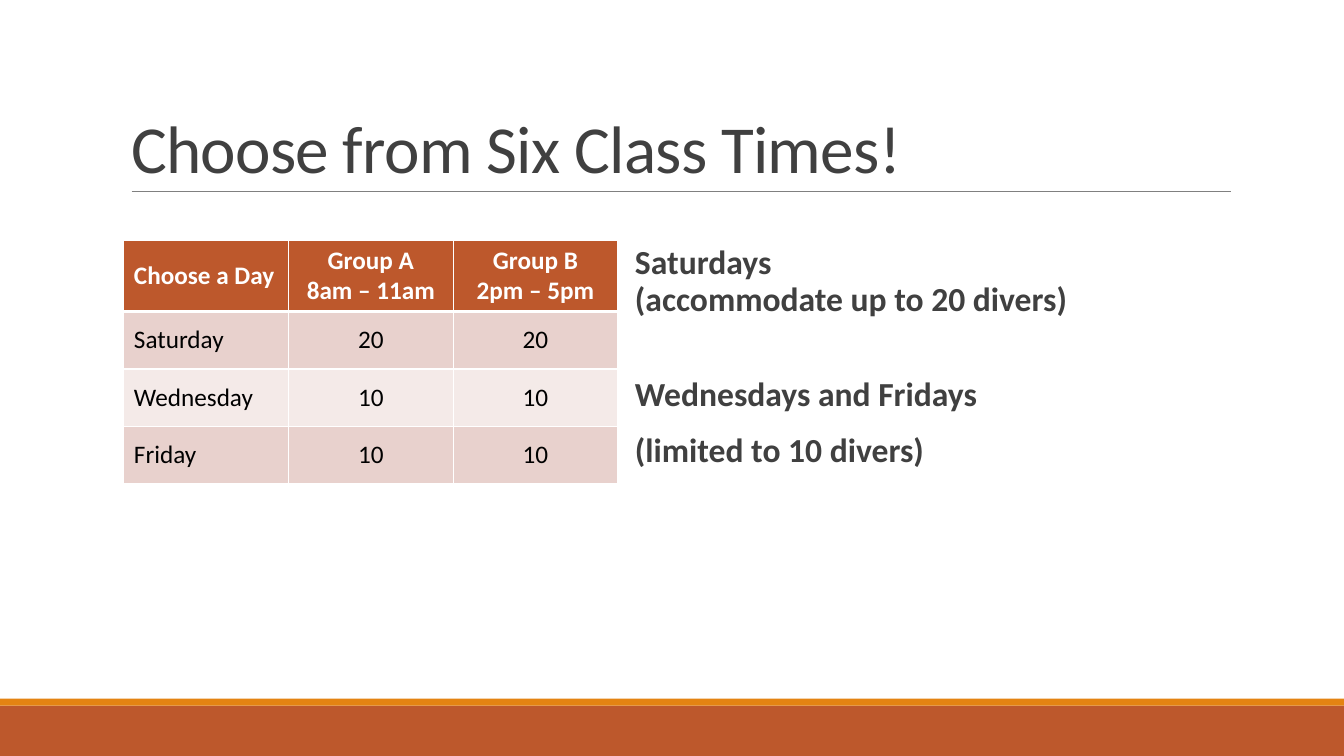
import pptx
import pptx.util
import pptx.dml.color
import pptx.enum.shapes
import pptx.enum.text
import pptx.oxml
import pptx.oxml.ns

Pt = pptx.util.Pt
ALIGN = pptx.enum.text.PP_ALIGN
ANCHOR = pptx.enum.text.MSO_ANCHOR

WIDTH, HEIGHT = 960, 540
RUST, ORANGE, GRAY, DARK = "BD582C", "E48312", "808080", "404040"
WHITE, BLACK = "FFFFFF", "000000"
STRIPES = ["E8D1CD", "F4EAE8"]

SCHEDULE = [
    ["Choose a Day", "Group A\n8am – 11am", "Group B\n2pm – 5pm"],
    ["Saturday", "20", "20"],
    ["Wednesday", "10", "10"],
    ["Friday", "10", "10"],
]
CAPACITY = [
    ("Saturdays\n(accommodate up to 20 divers)", 12),
    ("Wednesdays and Fridays", 40),
    ("(limited to 10 divers)", 12),
]


def rgb(value):
    return pptx.dml.color.RGBColor.from_string(value)


def set_all(obj, values):
    for name, value in values.items():
        setattr(obj, name, value)


def format_paragraph(p, size, color, bold=False, **values):
    set_all(p, values)
    for r in p.runs:
        set_all(r.font, {"name": "Calibri", "size": Pt(size), "bold": bold})
        r.font.color.rgb = rgb(color)


def add_title(slide, text, left, top, width, height):
    sp = slide.shapes.title
    set_all(sp, {"left": Pt(left), "top": Pt(top), "width": Pt(width), "height": Pt(height)})
    tf = sp.text_frame
    tf.text = text
    set_all(tf, {
        "vertical_anchor": ANCHOR.BOTTOM,
        "word_wrap": True,
        "auto_size": pptx.enum.text.MSO_AUTO_SIZE.NONE,
    })
    p = tf.paragraphs[0]
    format_paragraph(p, 48, DARK, alignment=ALIGN.LEFT, line_spacing=0.85)
    p.runs[0].font._element.set("spc", "-50")


def add_band(slide, top, height, color):
    sp = slide.shapes.add_shape(
        pptx.enum.shapes.MSO_SHAPE.RECTANGLE, 0, Pt(top), Pt(WIDTH), Pt(height))
    sp.shadow.inherit = False
    sp.fill.solid()
    sp.fill.fore_color.rgb = rgb(color)
    sp.line.fill.background()


def add_rule(slide, left, right, y):
    line = slide.shapes.add_connector(
        pptx.enum.shapes.MSO_CONNECTOR.STRAIGHT, Pt(left), Pt(y), Pt(right), Pt(y))
    line.line.color.rgb = rgb(GRAY)
    line.line.width = Pt(0.5)
    line._element.spPr.append(pptx.oxml.parse_xml(
        f"<a:effectLst {pptx.oxml.ns.nsdecls('a')}/>"))


def add_borders(cell, widths):
    tcPr = cell._tc.get_or_add_tcPr()
    for side, width in widths.items():
        tcPr.append(pptx.oxml.parse_xml(
            f'<a:ln{side} {pptx.oxml.ns.nsdecls("a")} w="{Pt(width)}">'
            f'<a:solidFill><a:srgbClr val="{WHITE}"/></a:solidFill></a:ln{side}>'))


def format_cell(cell, text, row, col):
    header = row == 0
    cell.text_frame.text = text
    cell.vertical_anchor = ANCHOR.MIDDLE
    for p in cell.text_frame.paragraphs:
        format_paragraph(p, 18, WHITE if header else BLACK, header,
                         alignment=ALIGN.CENTER if col else ALIGN.LEFT)
    add_borders(cell, {"L": 1, "R": 1, "T": 3 if row == 1 else 1, "B": 3 if header else 1})
    cell.fill.solid()
    cell.fill.fore_color.rgb = rgb(RUST if header else STRIPES[(row - 1) % 2])


def add_schedule(slide, rows, left, top, col_width, header_height, row_height):
    cols = len(rows[0])
    height = header_height + row_height * (len(rows) - 1)
    table = slide.shapes.add_table(
        len(rows), cols, Pt(left), Pt(top), Pt(col_width * cols), Pt(height)).table
    for column in table.columns:
        column.width = Pt(col_width)
    for i, texts in enumerate(rows):
        table.rows[i].height = Pt(row_height if i else header_height)
        for j, text in enumerate(texts):
            format_cell(table.cell(i, j), text, i, j)


def add_text(slide, items, left, top, width, height):
    tf = slide.shapes.add_textbox(Pt(left), Pt(top), Pt(width), Pt(height)).text_frame
    set_all(tf, {"word_wrap": True, "margin_left": 0, "margin_right": 0})
    for i, (text, before) in enumerate(items):
        p = tf.add_paragraph() if i else tf.paragraphs[0]
        p.text = text
        format_paragraph(p, 24, DARK, True, line_spacing=0.9,
                         space_before=Pt(before), space_after=Pt(2))


def main():
    prs = pptx.Presentation()
    set_all(prs, {"slide_width": Pt(WIDTH), "slide_height": Pt(HEIGHT)})
    slide = prs.slides.add_slide(prs.slide_layouts.get_by_name("Title Only"))
    add_band(slide, 504, 36, RUST)
    add_band(slide, 499, 5, ORANGE)
    add_rule(slide, 94, 879, 136.5)
    add_title(slide, "Choose from Six Class Times!", 86.4, 22.5, 792, 114.5)
    add_schedule(slide, SCHEDULE, 88.5, 171.4, 117.6, 51, 41)
    add_text(slide, CAPACITY, 453.6, 172, 335.5, 248.5)
    prs.save("out.pptx")


if __name__ == "__main__":
    main()
